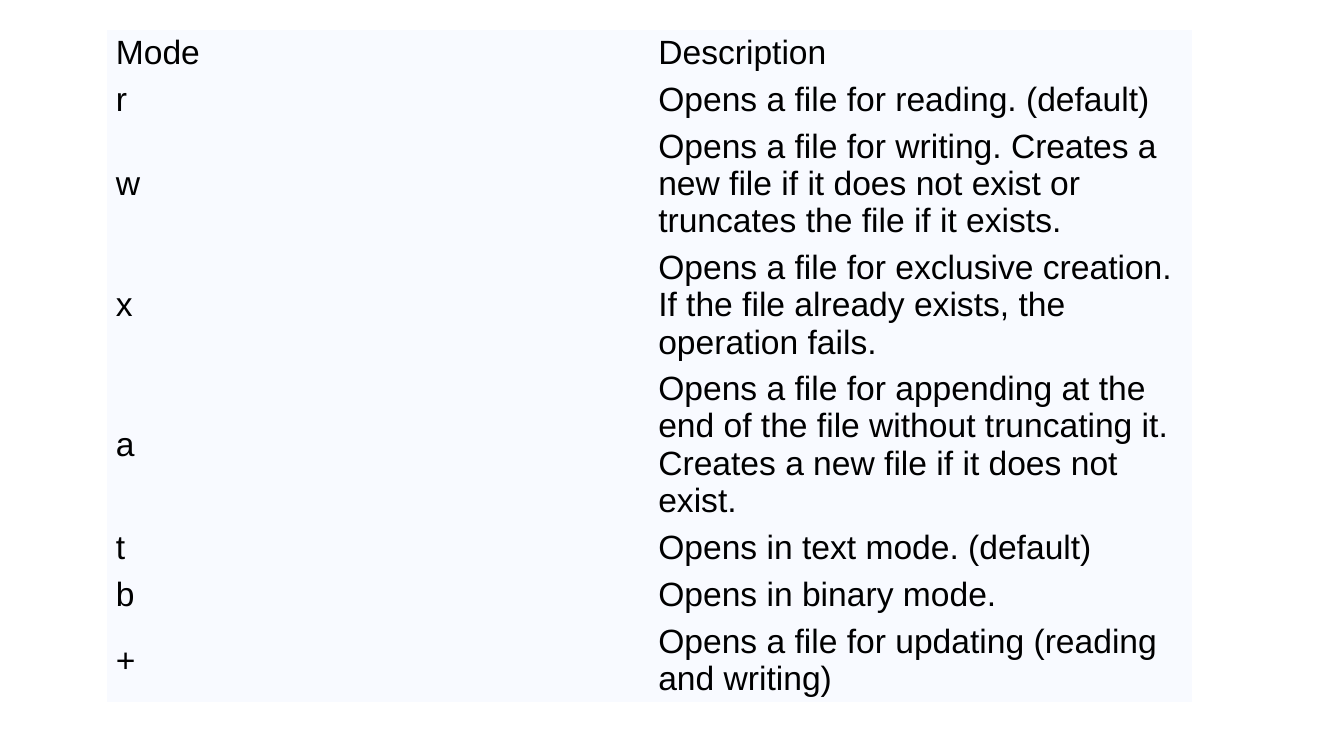
"""Build a slide with a table of file opening modes."""
import dataclasses

import pptx
import pptx.dml.color
import pptx.enum.text
import pptx.table
import pptx.util

Cm = pptx.util.Cm
COLOURS = {"cell": "F8FAFF", "text": "000000"}
FONT_NAME = "Arial"
FONT_SIZE = pptx.util.Pt(24)
SIDE_MARGIN = Cm(0.23)
END_MARGIN = Cm(0.11)
COLUMN_WIDTH = Cm(13.67)


@dataclasses.dataclass(frozen=True)
class ModeRow:
    mode: str
    description: str
    height: float


MODE_ROWS = [
    ModeRow("Mode", "Description", 0.71),
    ModeRow("r", "Opens a file for reading. (default)", 1.19),
    ModeRow("w", "Opens a file for writing. Creates a new file if it does not exist "
            "or truncates the file if it exists.", 2.57),
    ModeRow("x", "Opens a file for exclusive creation. If the file already exists, "
            "the operation fails.", 2.57),
    ModeRow("a", "Opens a file for appending at the end of the file without truncating it. "
            "Creates a new file if it does not exist.", 3.05),
    ModeRow("t", "Opens in text mode. (default)", 1.19),
    ModeRow("b", "Opens in binary mode.", 1.19),
    ModeRow("+", "Opens a file for updating (reading and writing)", 1.65),
]


def colour(name: str) -> pptx.dml.color.RGBColor:
    return pptx.dml.color.RGBColor.from_string(COLOURS[name])


def fill_cell(cell: pptx.table._Cell, text: str) -> None:
    cell.text = text
    cell.fill.solid()
    cell.fill.fore_color.rgb = colour("cell")
    cell.vertical_anchor = pptx.enum.text.MSO_ANCHOR.MIDDLE
    cell.margin_left = cell.margin_right = SIDE_MARGIN
    cell.margin_top = cell.margin_bottom = END_MARGIN
    font = cell.text_frame.paragraphs[0].font
    font.name = FONT_NAME
    font.size = FONT_SIZE
    font.bold = False
    font.color.rgb = colour("text")


def draw_mode_table(page: pptx.slide.Slide) -> None:
    total_height = Cm(sum(row.height for row in MODE_ROWS))
    frame = page.shapes.add_table(
        len(MODE_ROWS), 2, Cm(2.69), Cm(0.75), 2 * COLUMN_WIDTH, total_height)
    table = frame.table
    table.first_row = False
    table.horz_banding = False
    frame._element.graphic.graphicData.tbl.tblPr[0].text = (
        "{2D5ABB26-0587-4C30-8999-92F81FD0307C}")
    for column in table.columns:
        column.width = COLUMN_WIDTH
    for index, row in enumerate(MODE_ROWS):
        table.rows[index].height = Cm(row.height)
        fill_cell(table.cell(index, 0), row.mode)
        fill_cell(table.cell(index, 1), row.description)


def main() -> None:
    deck = pptx.Presentation()
    deck.slide_width = Cm(33.87)
    deck.slide_height = Cm(19.05)
    page = deck.slides.add_slide(deck.slide_layouts[6])
    draw_mode_table(page)
    deck.save("out.pptx")


if __name__ == "__main__":
    main()
